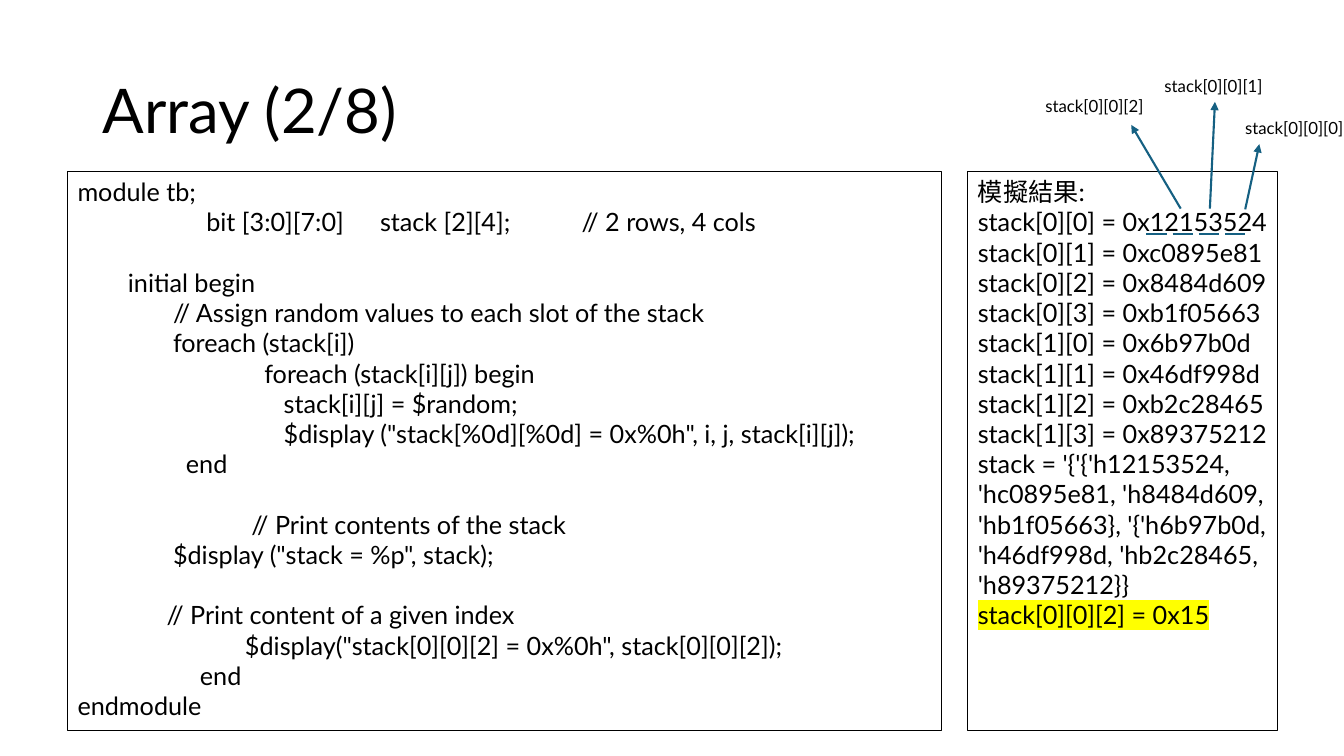
from dataclasses import dataclass

from lxml import etree
from pptx import Presentation
from pptx.dml.color import RGBColor
from pptx.enum.shapes import MSO_CONNECTOR, MSO_SHAPE
from pptx.enum.text import MSO_ANCHOR, MSO_AUTO_SIZE, PP_ALIGN
from pptx.oxml.ns import qn
from pptx.util import Emu, Inches, Pt

RECTANGLE = MSO_SHAPE.RECTANGLE
STRAIGHT = MSO_CONNECTOR.STRAIGHT
TOP, MIDDLE = MSO_ANCHOR.TOP, MSO_ANCHOR.MIDDLE
LEFT = PP_ALIGN.LEFT
NO_AUTOFIT = MSO_AUTO_SIZE.NONE

FONT = "Lato"
BLACK = RGBColor(0x00, 0x00, 0x00)
TEAL = RGBColor(0x15, 0x60, 0x82)
YELLOW = RGBColor(0xFF, 0xFF, 0x00)

WIDTH, HEIGHT = Inches(13.33), Inches(7.5)
LAYOUT_TITLE_ONLY = 5


@dataclass(frozen=True)
class Area:
    """A rectangle in percent of the slide's width and height."""
    left: float
    top: float
    width: float
    height: float


@dataclass(frozen=True)
class Panel:
    area: Area
    text: str


@dataclass(frozen=True)
class ByteCallout:
    """An index label with an arrow that rises from its byte."""
    text: str
    label: tuple[float, float]
    start: tuple[float, float]
    end: tuple[float, float]


TITLE_AREA = Area(6.9, 5.33, 86.25, 19.33)
PANEL_TOP, PANEL_HEIGHT = 22.67, 74

CODE = Panel(Area(5.03, PANEL_TOP, 65.04, PANEL_HEIGHT), """\
module tb;
                    bit [3:0][7:0] \tstack [2][4]; \t\t// 2 rows, 4 cols

\tinitial begin
\t       // Assign random values to each slot of the stack
\t       foreach (stack[i])
                             foreach (stack[i][j]) begin
                                stack[i][j] = $random;
                                $display ("stack[%0d][%0d] = 0x%0h", i, j, stack[i][j]);
\t         end

                           // Print contents of the stack
\t       $display ("stack = %p", stack);

\t      // Print content of a given index
                          $display("stack[0][0][2] = 0x%0h", stack[0][0][2]);
                   end
endmodule""")

RESULT = Panel(Area(72.02, PANEL_TOP, 23.03, PANEL_HEIGHT), """\
模擬結果:
stack[0][0] = 0x12153524
stack[0][1] = 0xc0895e81
stack[0][2] = 0x8484d609
stack[0][3] = 0xb1f05663
stack[1][0] = 0x6b97b0d
stack[1][1] = 0x46df998d
stack[1][2] = 0xb2c28465
stack[1][3] = 0x89375212
stack = '{'{'h12153524, 'hc0895e81, 'h8484d609, 'hb1f05663}, \
'{'h6b97b0d, 'h46df998d, 'hb2c28465, 'h89375212}}
stack[0][0][2] = 0x15""")

BYTE_COUNT = 4
BYTE_LEFT, BYTE_BASELINE = 85.3, 30.93
BYTE_PITCH, BYTE_WIDTH = 1.95, 1.5

LABEL_WIDTH, LABEL_HEIGHT = 9, 4
CALLOUTS = (
    ByteCallout("stack[0][0][0]", (91.9, 14.93), (92.65, 27.7), (93.7, 19.07)),
    ByteCallout("stack[0][0][1]", (85.9, 9.33), (90.02, 27.6), (90.4, 13.47)),
    ByteCallout("stack[0][0][2]", (77.04, 12), (87.85, 27.6), (84.17, 16.53)),
)


def across(percent: float) -> Emu:
    return Emu(round(WIDTH * percent / 100))


def down(percent: float) -> Emu:
    return Emu(round(HEIGHT * percent / 100))


def place(area: Area) -> tuple[Emu, Emu, Emu, Emu]:
    return across(area.left), down(area.top), across(area.width), down(area.height)


def write(shape, text: str, size: float, anchor=TOP) -> None:
    frame = shape.text_frame
    frame.word_wrap = True
    frame.auto_size = NO_AUTOFIT
    frame.vertical_anchor = anchor
    frame.text = text
    for paragraph in frame.paragraphs:
        paragraph.alignment = LEFT
        paragraph.font.name = FONT
        paragraph.font.size = Pt(size)
        paragraph.font.color.rgb = BLACK


def add_title(slide, text: str) -> None:
    title = slide.shapes.title
    title.left, title.top, title.width, title.height = place(TITLE_AREA)
    write(title, text, 44, MIDDLE)
    title.text_frame.paragraphs[0].line_spacing = 0.9


def add_panel(slide, panel: Panel):
    shape = slide.shapes.add_shape(RECTANGLE, *place(panel.area))
    shape.shadow.inherit = False
    shape.fill.background()
    shape.line.color.rgb = BLACK
    shape.line.width = Pt(0.75)
    write(shape, panel.text, 18)
    return shape


def highlight(run, color: RGBColor) -> None:
    mark = etree.SubElement(run.font._element, qn("a:highlight"))
    etree.SubElement(mark, qn("a:srgbClr"), val=str(color))


def add_line(slide, start: tuple[float, float], end: tuple[float, float],
             arrow: bool = False) -> None:
    line = slide.shapes.add_connector(
        STRAIGHT, across(start[0]), down(start[1]), across(end[0]), down(end[1]))
    line.line.color.rgb = TEAL
    line.line.width = Pt(1.5)
    properties = line._element.spPr
    if arrow:
        etree.SubElement(properties.find(qn("a:ln")), qn("a:tailEnd"), type="triangle")
    etree.SubElement(properties, qn("a:effectLst"))


def add_callout(slide, callout: ByteCallout) -> None:
    add_line(slide, callout.start, callout.end, arrow=True)
    area = Area(*callout.label, LABEL_WIDTH, LABEL_HEIGHT)
    write(slide.shapes.add_textbox(*place(area)), callout.text, 12)


def main() -> None:
    presentation = Presentation()
    presentation.slide_width, presentation.slide_height = WIDTH, HEIGHT
    slide = presentation.slides.add_slide(presentation.slide_layouts[LAYOUT_TITLE_ONLY])
    add_title(slide, "Array (2/8)")

    # Code and simulation output
    add_panel(slide, CODE)
    result = add_panel(slide, RESULT)
    highlight(result.text_frame.paragraphs[-1].runs[0], YELLOW)

    # Underlines below the bytes of the first value
    for index in range(BYTE_COUNT):
        left = BYTE_LEFT + index * BYTE_PITCH
        add_line(slide, (left, BYTE_BASELINE), (left + BYTE_WIDTH, BYTE_BASELINE))

    # Index labels with their arrows
    for callout in CALLOUTS:
        add_callout(slide, callout)

    presentation.save("out.pptx")


if __name__ == "__main__":
    main()
